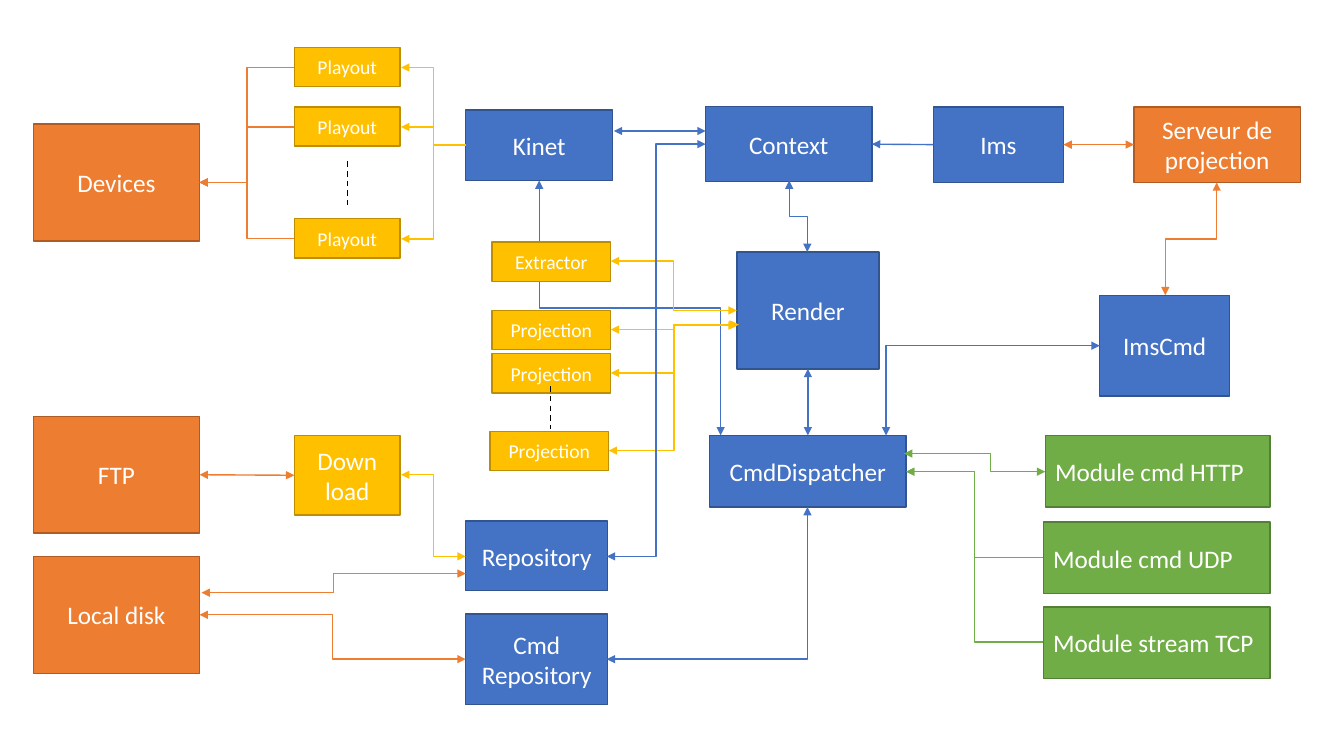
import pptx
import pptx.dml.color
import pptx.enum.dml
import pptx.enum.shapes
import pptx.enum.text
import pptx.oxml
import pptx.oxml.ns
import pptx.util

EMU_PER_PX = 9144  # 100 px to the inch
BLUE, ORANGE, YELLOW, GREEN, BLACK = "4472C4", "ED7D31", "FFC000", "70AD47", "000000"
BORDERS = {BLUE: "325491", ORANGE: "AF5C24", YELLOW: "BD8E00", GREEN: "538035"}
TOP, LEFT, BOTTOM, RIGHT = range(4)
CONNECTOR = pptx.enum.shapes.MSO_CONNECTOR


def px(length):
    return pptx.util.Emu(round(length * EMU_PER_PX))


def rgb(colour):
    return pptx.dml.color.RGBColor.from_string(colour)


def set_all(target, values):
    for name, value in values.items():
        setattr(target, name, value)


def add_element(parent, tag, **attributes):
    element = pptx.oxml.parse_xml(f"<{tag} {pptx.oxml.ns.nsdecls('a')}/>")
    for name, value in attributes.items():
        element.set(name, value)
    parent.append(element)


class Diagram:
    """Holds the shared style and the slide being drawn."""

    font = {"name": "Calibri", "bold": False}
    line_width = pptx.util.Pt(1)

    def __init__(self, slide):
        self.slide = slide

    def box(self, text, colour, left, top, width, height, size=18):
        shape = self.slide.shapes.add_shape(
            pptx.enum.shapes.MSO_SHAPE.RECTANGLE, *map(px, (left, top, width, height)))
        shape.shadow.inherit = False
        shape.fill.solid()
        shape.fill.fore_color.rgb = rgb(colour)
        shape.line.color.rgb = rgb(BORDERS[colour])
        shape.line.width = self.line_width
        set_all(shape.text_frame, {
            "text": text, "word_wrap": True,
            "vertical_anchor": pptx.enum.text.MSO_ANCHOR.MIDDLE})
        paragraph = shape.text_frame.paragraphs[0]
        align = pptx.enum.text.PP_ALIGN
        paragraph.alignment = align.LEFT if colour == GREEN else align.CENTER
        font = paragraph.runs[0].font
        set_all(font, {**self.font, "size": pptx.util.Pt(size)})
        font.color.rgb = rgb("FFFFFF")
        return shape

    def line(self, colour, start, end, heads=2, kind=CONNECTOR.STRAIGHT):
        """Draw a connector with 0, 1 (at the end) or 2 arrowheads."""
        connector = self.slide.shapes.add_connector(kind, *map(px, (*start, *end)))
        connector.line.color.rgb = rgb(colour)
        connector.line.width = self.line_width
        outline = connector.line._get_or_add_ln()
        if heads == 2:
            add_element(outline, "a:headEnd", type="triangle")
        if heads:
            add_element(outline, "a:tailEnd", type="triangle")
        add_element(connector._element.spPr, "a:effectLst")
        return connector

    def dashes(self, start, end):
        connector = self.line(BLACK, start, end, heads=0)
        connector.line.dash_style = pptx.enum.dml.MSO_LINE.DASH

    def join(self, colour, first, first_side, second, second_side, heads=2):
        """Join the middles of two box sides with a straight line."""
        connector = self.line(colour, (0, 0), (0, 0), heads)
        connector.begin_connect(first, first_side)
        connector.end_connect(second, second_side)

    def elbow(self, colour, start, end, heads=2, bend=0.5):
        """Leave sideways and turn at the given share of the width."""
        connector = self.line(colour, start, end, heads, CONNECTOR.ELBOW)
        if bend != 0.5:
            guides = connector._element.spPr.prstGeom.get_or_add_avLst()
            add_element(guides, "a:gd", name="adj1", fmla=f"val {round(bend * 100000)}")

    def upright_elbow(self, colour, start, end):
        """Leave vertically: a sideways elbow turned by 90 degrees about its middle."""
        (x1, y1), (x2, y2) = start, end
        middle_x, middle_y = (x1 + x2) / 2, (y1 + y2) / 2
        half_x, half_y = (x2 - x1) / 2, (y2 - y1) / 2
        connector = self.line(colour, (middle_x - half_y, middle_y + half_x),
                              (middle_x + half_y, middle_y - half_x), 2, CONNECTOR.ELBOW)
        connector._element.spPr.xfrm.set("rot", "5400000")

    def corner(self, colour, start, end):
        """Leave sideways and turn once."""
        connector = self.line(colour, start, end, 2, CONNECTOR.ELBOW)
        connector._element.spPr.prstGeom.set("prst", "bentConnector2")


def draw_boxes(diagram):
    """Draw every box and return those that straight lines join."""
    for top in (47, 106, 217):
        diagram.box("Playout", YELLOW, 292, top, 105, 39, 14)
    for text, left, top in (("Extractor", 488, 240), ("Projection", 488, 308),
                            ("Projection", 488, 351), ("Projection", 486, 428)):
        diagram.box(text, YELLOW, left, top, 118, 39, 14)
    for text, left, top, width in (("Module cmd HTTP", 1037, 432, 223),
                                   ("Module cmd UDP", 1035, 518, 225),
                                   ("Module stream TCP", 1035, 602, 225)):
        diagram.box(text, GREEN, left, top, width, 71)
    boxes = (
        ("Context", BLUE, 700, 106, 165, 74),
        ("Ims", BLUE, 926, 106, 129, 75),
        ("ImsCmd", BLUE, 1091, 293, 129, 100),
        ("CmdDispatcher", BLUE, 704, 432, 195, 71),
        ("Kinet", BLUE, 462, 109, 146, 70),
        ("Render", BLUE, 731, 250, 141, 116),
        ("Repository", BLUE, 462, 517, 141, 69),
        ("Cmd Repository", BLUE, 462, 609, 141, 90),
        ("Serveur de projection", ORANGE, 1125, 106, 165, 75),
        ("Devices", ORANGE, 33, 123, 165, 116),
        ("FTP", ORANGE, 33, 413, 165, 116),
        ("Local disk", ORANGE, 33, 552, 165, 116),
        ("Down load", YELLOW, 292, 432, 105, 79),
    )
    return {box[0]: diagram.box(*box) for box in boxes}


def draw_links(diagram, boxes):
    diagram.join(ORANGE, boxes["Ims"], RIGHT, boxes["Serveur de projection"], LEFT)
    diagram.join(BLUE, boxes["Ims"], LEFT, boxes["Context"], RIGHT, heads=1)
    diagram.join(BLUE, boxes["CmdDispatcher"], TOP, boxes["Render"], BOTTOM)
    diagram.join(ORANGE, boxes["Down load"], LEFT, boxes["FTP"], RIGHT)
    diagram.line(BLUE, (609, 130), (700, 130))
    diagram.dashes((345, 160), (345, 203))
    diagram.dashes((546, 383), (546, 426))

    for playout_y in (67, 126, 237):
        diagram.elbow(ORANGE, (292, playout_y), (198, 181), heads=1)
        diagram.elbow(YELLOW, (462, 144), (398, playout_y), heads=1)
    for module_y in (553, 637):
        diagram.elbow(GREEN, (1035, module_y), (899, 468), heads=1)
    diagram.elbow(GREEN, (1037, 468), (897, 450), bend=0.39)

    for start, end in (((731, 308), (606, 259)), ((731, 323), (606, 327)),
                       ((732, 322), (606, 370)), ((733, 322), (604, 447)),
                       ((462, 552), (398, 471))):
        diagram.elbow(YELLOW, start, end)
    diagram.elbow(ORANGE, (200, 588), (462, 569))
    diagram.elbow(ORANGE, (462, 654), (198, 610))
    diagram.elbow(BLUE, (602, 552), (700, 143))
    diagram.elbow(BLUE, (879, 432), (1091, 343), bend=0)
    diagram.corner(BLUE, (602, 654), (801, 503))
    diagram.upright_elbow(BLUE, (801, 250), (783, 179))
    diagram.upright_elbow(ORANGE, (1156, 293), (1207, 181))


def main():
    presentation = pptx.Presentation()
    set_all(presentation, {"slide_width": pptx.util.Inches(40 / 3),
                           "slide_height": pptx.util.Inches(7.5)})
    blank_layout = presentation.slide_layouts[6]
    diagram = Diagram(presentation.slides.add_slide(blank_layout))
    # This link passes behind the Extractor box, so it is drawn first.
    diagram.upright_elbow(BLUE, (715, 432), (535, 179))
    draw_links(diagram, draw_boxes(diagram))
    presentation.save("out.pptx")


if __name__ == "__main__":
    main()
